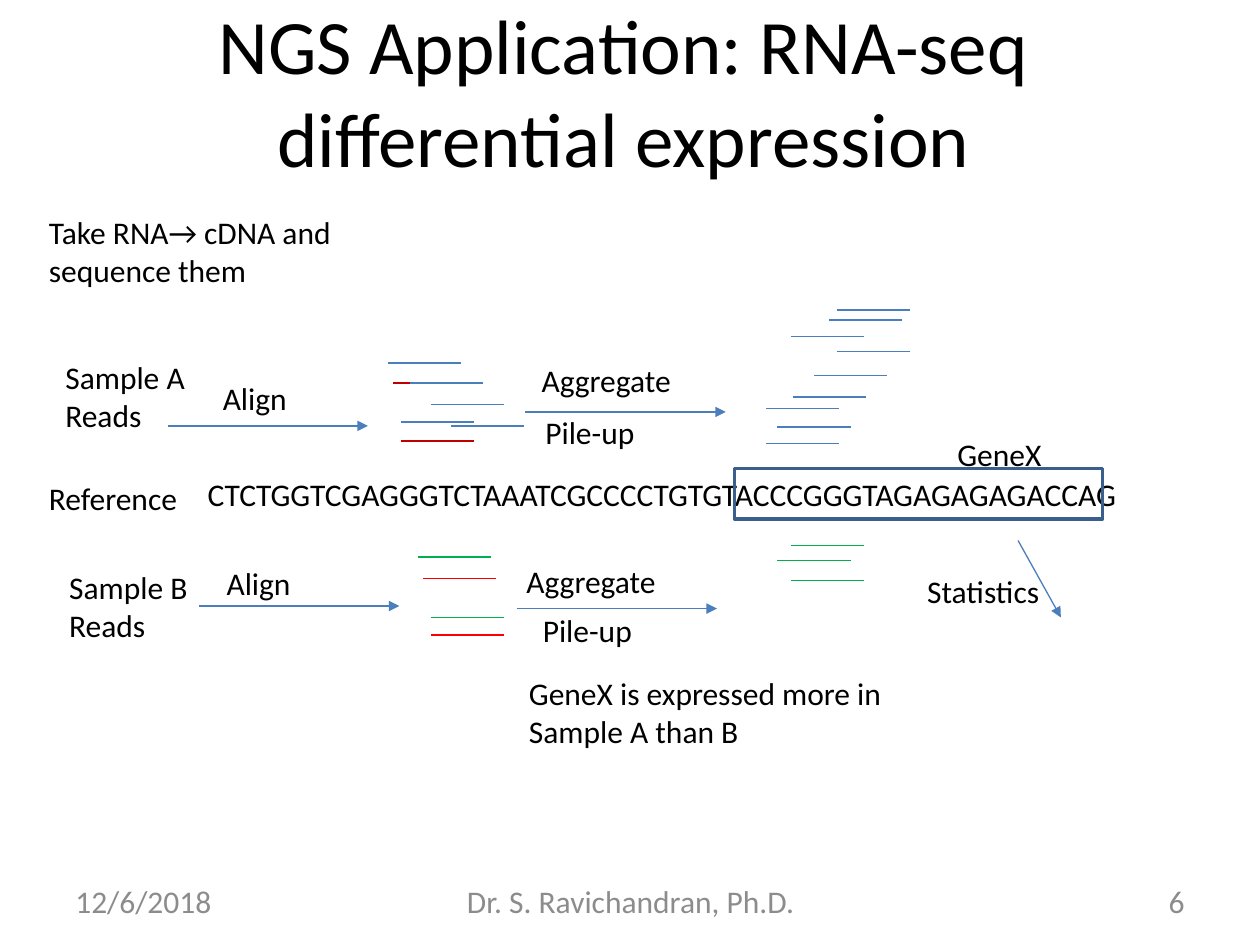
from lxml.etree import SubElement
from pptx import Presentation
from pptx.dml.color import RGBColor
from pptx.enum.shapes import MSO_CONNECTOR, MSO_SHAPE
from pptx.enum.text import MSO_ANCHOR, PP_ALIGN
from pptx.oxml.ns import qn
from pptx.util import Inches, Pt

BLACK, GRAY, BLUE, NAVY = "000000", "8C8C8C", "4B7EBC", "3A5F8C"
DARK, RED, GREEN = "C00000", "FF0000", "00B050"
LEFT, MID, RIGHT = PP_ALIGN.LEFT, PP_ALIGN.CENTER, PP_ALIGN.RIGHT
SPAN = 0.58   # length of one read
REACH = 1.59  # length of one step arrow

# Title and footer: text, box, size, colour, alignment
FRAME = [
    ("NGS Application: RNA-seq differential expression",
     (0.45, 0.09, 9, 1.25), 44, BLACK, MID),
    ("12/6/2018", (0.5, 6.95, 2.33, 0.4), 18, GRAY, LEFT),
    ("Dr. S. Ravichandran, Ph.D.", (3.42, 6.95, 3.17, 0.4), 18, GRAY, MID),
    ("6", (7.17, 6.95, 2.33, 0.4), 18, GRAY, RIGHT),
]

# Labels: text, left, top, width, number of lines
LABELS = [
    ("Take RNA→ cDNA and sequence them", 0.29, 1.64, 2.67, 2),
    ("Sample A\nReads", 0.42, 2.79, 1.25, 2),
    ("Sample B\nReads", 0.45, 4.46, 1.25, 2),
    ("Align", 1.67, 2.96, 1, 1),
    ("Align", 1.7, 4.43, 1, 1),
    ("Aggregate", 4.2, 2.82, 1.27, 1),
    ("Aggregate", 4.08, 4.41, 1.27, 1),
    ("Pile-up", 4.23, 3.23, 1.27, 1),
    ("Pile-up", 4.21, 4.8, 1.27, 1),
    ("CTCTGGTCGAGGGTCTAAATCGCCCCTGTGTACCCGGGTAGAGAGAGACCAG",
     1.55, 3.72, 7.92, 1),
    ("Reference", 0.29, 3.75, 1.5, 1),
    ("GeneX", 7.5, 3.4, 0.92, 1),
    ("Statistics", 7.26, 4.49, 1.27, 1),
    ("GeneX is expressed more in Sample A than B", 4.1, 5.3, 3.5, 2),
]

# Left ends of the step arrows, and the slanted one to the statistics
STEPS = [(1.33, 3.38), (1.58, 4.81), (4.17, 3.27), (4.1, 4.83)]
SLANT = (8.08, 4.29, 8.42, 4.9)

# Reads: colour, left ends; back to front
READS = [
    (DARK, [(3.12, 3.04), (3.18, 3.5)]),
    (BLUE, [(3.08, 2.88), (3.18, 3.35), (3.25, 3.04), (3.42, 3.21),
            (3.58, 3.38)]),
    (GREEN, [(3.32, 4.42), (3.42, 4.9)]),
    (RED, [(3.36, 4.59), (3.42, 5.04)]),
    # piled up on the gene
    (BLUE, [(6.08, 3.52), (6.17, 3.39), (6.08, 3.24), (6.29, 3.15),
            (6.46, 2.98), (6.64, 2.79), (6.28, 2.67), (6.58, 2.54),
            (6.64, 2.46)]),
    (GREEN, [(6.28, 4.61), (6.17, 4.45), (6.28, 4.33)]),
]
GENE = (5.83, 3.72, 2.92, 0.4)


def paint(color):
    return RGBColor.from_string(color)


def write(text, box, size=18, color=BLACK, align=LEFT,
          anchor=MSO_ANCHOR.TOP):
    frame = slide.shapes.add_textbox(*map(Inches, box)).text_frame
    frame.word_wrap = True
    frame.vertical_anchor = anchor
    frame.text = text
    form = {"name": "Calibri", "size": Pt(size)}
    for para in frame.paragraphs:
        para.alignment = align
        for run in para.runs:
            for key, value in form.items():
                setattr(run.font, key, value)
            run.font.color.rgb = paint(color)


def draw(ends, color=BLUE, arrow=False):
    line = slide.shapes.add_connector(MSO_CONNECTOR.STRAIGHT,
                                      *map(Inches, ends))
    line.line.color.rgb = paint(color)
    line.line.width = Pt(0.75)
    if arrow:
        SubElement(line.line._get_or_add_ln(), qn("a:tailEnd"),
                   type="triangle")
    SubElement(line._element.spPr, qn("a:effectLst"))


deck = Presentation()
deck.slide_width, deck.slide_height = Inches(10), Inches(7.5)
slide = deck.slides.add_slide(deck.slide_layouts[6])

# Text
for item in FRAME:
    write(*item, anchor=MSO_ANCHOR.MIDDLE)
for text, x, y, wide, rows in LABELS:
    write(text, (x, y, wide, 0.4 if rows == 1 else 0.71))

# Gene outline
gene = slide.shapes.add_shape(MSO_SHAPE.RECTANGLE, *map(Inches, GENE))
gene.shadow.inherit = False
gene.fill.background()
gene.line.color.rgb = paint(NAVY)
gene.line.width = Pt(2)

# Reads
for color, spots in READS:
    for x, y in spots:
        draw((x, y, x + SPAN, y), color)

# Arrows
for x, y in STEPS:
    draw((x, y, x + REACH, y), arrow=True)
draw(SLANT, arrow=True)

deck.save("out.pptx")
